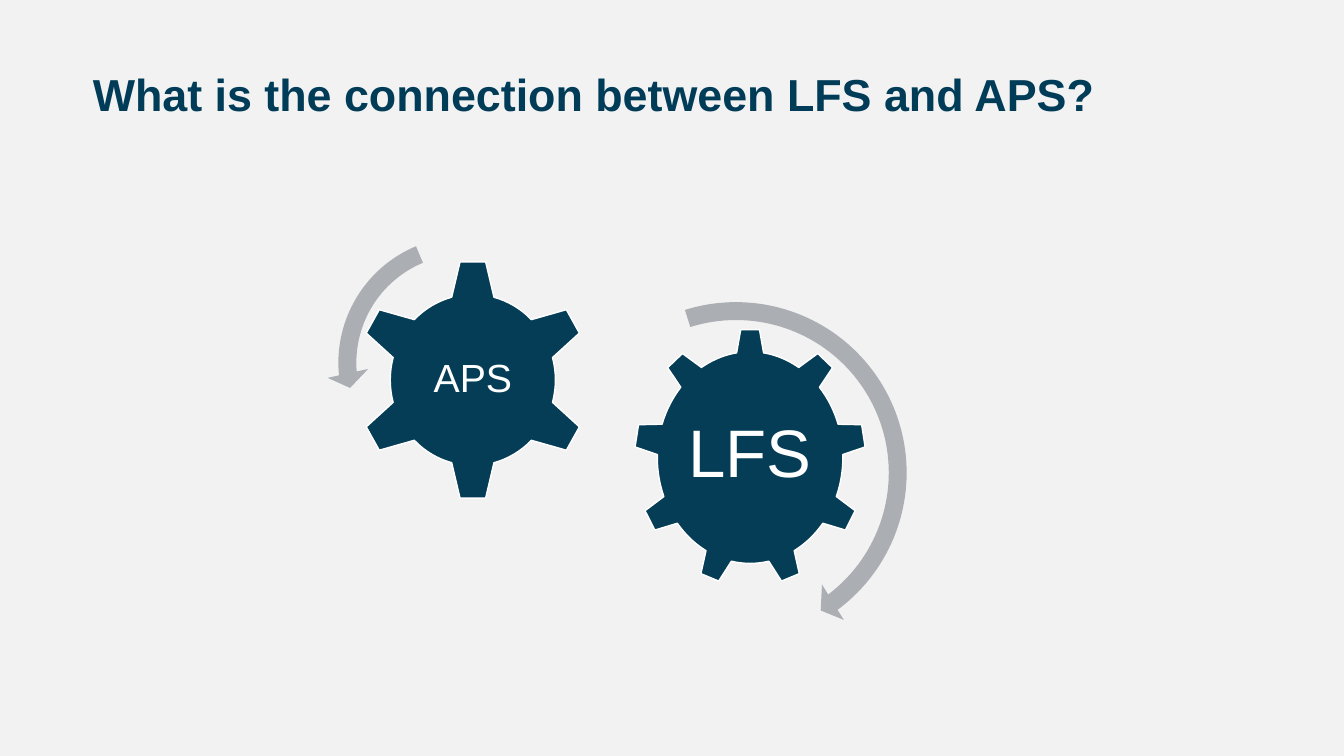
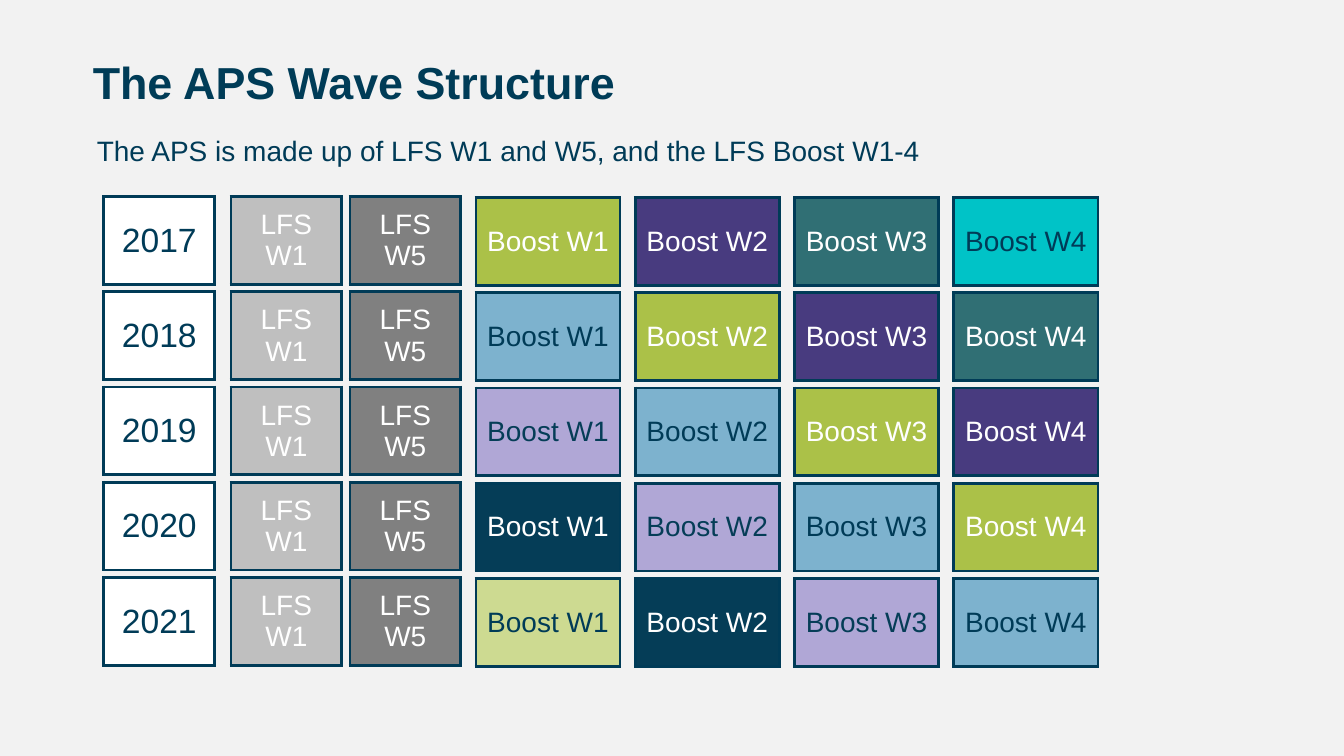
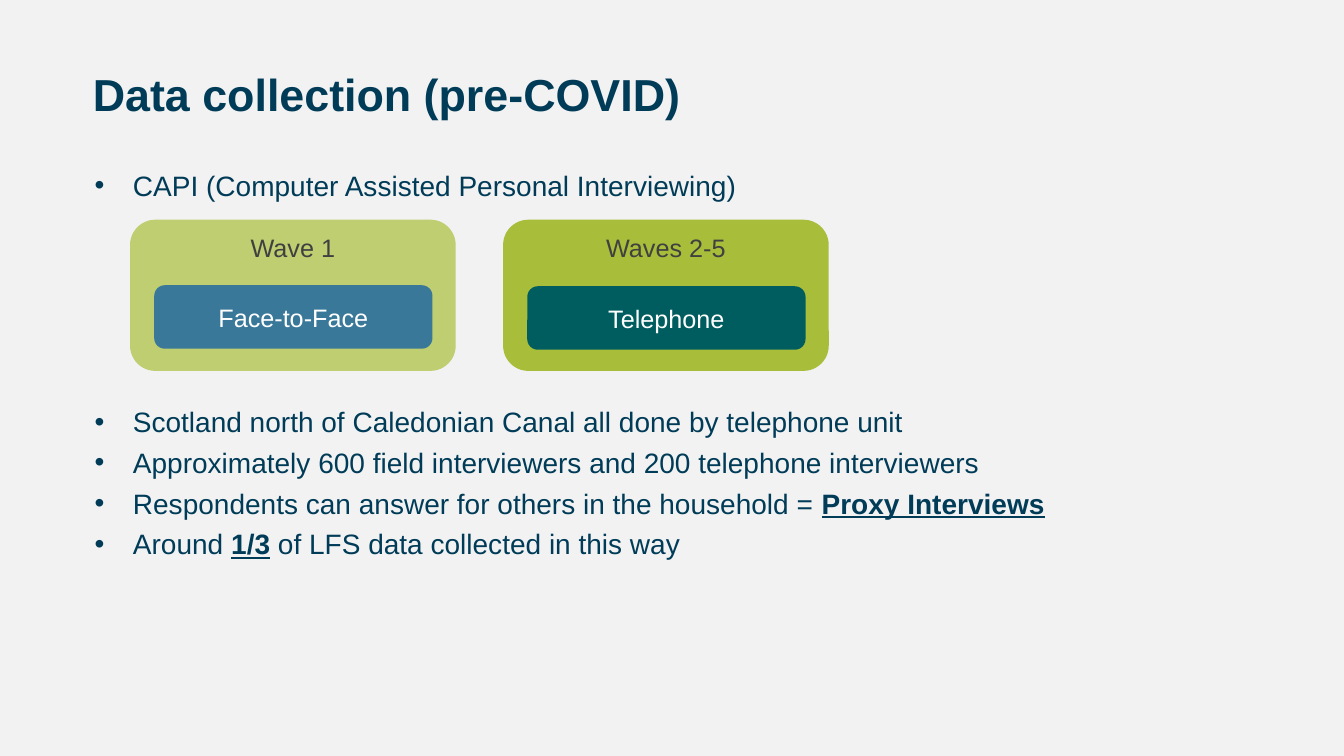
from dataclasses import dataclass

from lxml import etree
from pptx import Presentation
from pptx.dml.color import RGBColor
from pptx.enum.shapes import MSO_SHAPE
from pptx.enum.text import MSO_ANCHOR, MSO_AUTO_SIZE, PP_ALIGN
from pptx.oxml.ns import qn
from pptx.util import Emu, Pt

TOP, MIDDLE, BOTTOM = MSO_ANCHOR.TOP, MSO_ANCHOR.MIDDLE, MSO_ANCHOR.BOTTOM
LEFT, CENTER = PP_ALIGN.LEFT, PP_ALIGN.CENTER
GEAR_6, GEAR_9 = MSO_SHAPE.GEAR_6, MSO_SHAPE.GEAR_9
ARC_RIGHT, ARC_LEFT = MSO_SHAPE.CIRCULAR_ARROW, MSO_SHAPE.LEFT_CIRCULAR_ARROW
CARD, PILL = MSO_SHAPE.ROUNDED_RECTANGLE, MSO_SHAPE.FLOWCHART_ALTERNATE_PROCESS


@dataclass(frozen=True)
class Theme:
    font: str = "Arial"
    background: str = "F2F2F2"
    title: str = "003C57"
    ink: str = "003B57"
    navy: str = "053D57"
    white: str = "FFFFFF"
    grey: str = "ABAFB4"
    charcoal: str = "414041"
    title_size: int = 32
    year_size: int = 24
    body_size: int = 20
    card_size: int = 18
    border: float = 2.25


T = Theme()
PX = 9144  # EMU per px, 100 px to the inch

# ---- Content ----
GEAR_TITLE = "What is the connection between LFS and APS?"
GEARS = [  # shape, box, label, size
    (GEAR_9, (629, 326, 230, 256), "LFS", 48),
    (GEAR_6, (352, 257, 234, 240), "APS", 28),
]
ARCS = [  # shape, box, adjustments
    (ARC_RIGHT, (549, 288, 362, 362), (0.049, 3.126, 31.923, 151.551, 0.057)),
    (ARC_LEFT, (324, 223, 274, 274), (0.065, 4.3, 104.891, 148.378, 0.075)),
]

WAVE_TITLE = "The APS Wave Structure"
WAVE_INTRO = "The APS is made up of LFS W1 and W5, and the LFS Boost W1-4"
YEARS = [2017, 2018, 2019, 2020, 2021]
LFS_COLUMNS = [("LFS W1", 229, "BFBFBF"), ("LFS W5", 347, "808080")]
BOOST_WAVES = 4
COHORTS = [  # fill, text colour; oldest boost sample first
    ("00C3C7", T.ink), ("306F74", T.white), ("483B7F", T.white),
    ("ABC148", T.white), ("7DB2CE", T.ink), ("B0A7D6", T.navy),
    (T.navy, T.white), ("CDDA91", T.ink),
]

COLLECT_TITLE = "Data collection (pre-COVID)"
BULLETS = [  # space before, runs (text, emphasised)
    (0, [("CAPI (Computer Assisted Personal Interviewing)", False)]),
    (145, [("Scotland north of Caledonian Canal all done by telephone unit", False)]),
    (5, [("Approximately 600 field interviewers and 200 telephone interviewers", False)]),
    (5, [("Respondents can answer for others in the household = ", False),
         ("Proxy Interviews", True)]),
    (5, [("Around ", False), ("1/3", True),
         (" of LFS data collected in this way", False)]),
]
CARDS = [  # wave, fill, method, fill, method top
    ("Wave 1", "BECE70", "Face-to-Face", "3A7899", 283),
    ("Waves 2-5", "A8BD3A", "Telephone", "005D5F", 284),
]


# ---- Helpers ----
def px(*values):
    return [Emu(round(v * PX)) for v in values]


def rgb(color):
    return RGBColor.from_string(color)


def style(p, size, color, align=LEFT, bold=False):
    p.alignment = align
    for r in p.runs:
        r.font.name, r.font.size, r.font.bold = T.font, Pt(size), bold
        r.font.color.rgb = rgb(color)


def set_frame(tf, anchor, margins, wrap=True):
    tf.auto_size, tf.word_wrap = MSO_AUTO_SIZE.NONE, wrap
    tf.vertical_anchor = anchor
    tf.margin_left, tf.margin_top, tf.margin_right, tf.margin_bottom = px(*margins)


def add_slide(prs, title, top=70):
    s = prs.slides.add_slide(prs.slide_layouts[5])
    sp = s.shapes.title
    sp.left, sp.top, sp.width, sp.height = px(92, top, 1150, 51)
    tf = sp.text_frame
    tf.text = title
    set_frame(tf, TOP, (0, 0, 0, 0))
    p = tf.paragraphs[0]
    p.line_spacing = 0.95
    style(p, T.title_size, T.title, bold=True)
    return s


def add_box(s, box, anchor, margins):
    tf = s.shapes.add_textbox(*px(*box)).text_frame
    set_frame(tf, anchor, margins)
    return tf


def add_shape(s, kind, box, fill, line=None):
    sp = s.shapes.add_shape(kind, *px(*box))
    sp.shadow.inherit = False
    sp.fill.solid()
    sp.fill.fore_color.rgb = rgb(fill)
    if line:
        sp.line.color.rgb, sp.line.width = rgb(line), Pt(1)
    else:
        sp.line.fill.background()
    return sp


def add_label(sp, text, size, color, anchor=MIDDLE, margins=(10, 5, 10, 5)):
    tf = sp.text_frame
    tf.text = text
    set_frame(tf, anchor, margins, wrap=False)
    style(tf.paragraphs[0], size, color, CENTER)


def set_borders(cell):
    tc_pr = cell._tc.get_or_add_tcPr()
    for side in ("a:lnL", "a:lnR", "a:lnT", "a:lnB"):
        ln = etree.SubElement(tc_pr, qn(side), w=str(Pt(T.border)))
        fill = etree.SubElement(ln, qn("a:solidFill"))
        etree.SubElement(fill, qn("a:srgbClr"), val=T.ink)


def add_tile(s, box, text, fill, color, size=T.body_size):
    cell = s.shapes.add_table(1, 1, *px(*box)).table.cell(0, 0)
    set_borders(cell)
    cell.fill.solid()
    cell.fill.fore_color.rgb = rgb(fill)
    cell.vertical_anchor = MIDDLE
    cell.text = text
    style(cell.text_frame.paragraphs[0], size, color, CENTER)


def set_bullet(p, indent):
    p_pr = p._p.get_or_add_pPr()
    width = px(indent)[0]
    p_pr.set("marL", str(width))
    p_pr.set("indent", str(-width))
    etree.SubElement(p_pr, qn("a:buFont"), typeface=T.font)
    etree.SubElement(p_pr, qn("a:buChar"), char="•")


# ---- Slides ----
def gear_slide(prs):
    s = add_slide(prs, GEAR_TITLE)
    for kind, box, label, size in GEARS:
        sp = add_shape(s, kind, box, T.navy, T.white)
        add_label(sp, label, size, T.white, margins=(0, 0, 0, 0))
        sp.text_frame.paragraphs[0].line_spacing = 0.9
    for kind, box, adjustments in ARCS:
        sp = add_shape(s, kind, box, T.grey)
        for i, value in enumerate(adjustments):
            sp.adjustments[i] = value


def wave_slide(prs):
    s = add_slide(prs, WAVE_TITLE, top=58)
    tf = add_box(s, (96, 127, 1008, 44), BOTTOM, (0, 5, 10, 5))
    tf.text = WAVE_INTRO
    style(tf.paragraphs[0], T.body_size, T.ink)

    first_top, last_top, height = 195, 573, 87
    pitch = (last_top - first_top) / (len(YEARS) - 1)
    for row, year in enumerate(YEARS):
        top = first_top + row * pitch
        add_tile(s, (103, top, 110, height), str(year), T.white, T.ink, T.year_size)
        for label, left, fill in LFS_COLUMNS:
            add_tile(s, (left, top, 110, height), label, fill, T.white)
        # Each boost sample moves one wave to the right every year
        for wave in range(BOOST_WAVES):
            fill, color = COHORTS[row - wave + BOOST_WAVES - 1]
            box = (472 + 158 * wave, top + 1, 143, height)
            add_tile(s, box, f"Boost W{wave + 1}", fill, color)


def collection_slide(prs):
    s = add_slide(prs, COLLECT_TITLE)
    tf = add_box(s, (84, 162, 1120, 500), TOP, (10, 5, 10, 5))
    for i, (space, runs) in enumerate(BULLETS):
        p = tf.paragraphs[0] if i == 0 else tf.add_paragraph()
        p.space_before = Pt(space)
        set_bullet(p, 38)
        for text, _ in runs:
            p.add_run().text = text
        style(p, T.body_size, T.ink)
        for r, (_, emphasised) in zip(p.runs, runs):
            r.font.bold = r.font.underline = emphasised

    # Wave cards, each holding its interview method
    for i, (wave, fill, method, method_fill, method_top) in enumerate(CARDS):
        left = 129 + 370 * i
        card = add_shape(s, CARD, (left, 218, 323, 150), fill)
        add_label(card, wave, T.card_size, T.charcoal, TOP)
        pill = add_shape(s, PILL, (left + 24, method_top, 276, 63), method_fill)
        add_label(pill, method, T.card_size, T.white)


def main():
    prs = Presentation()
    prs.slide_width, prs.slide_height = px(1333, 750)
    background = prs.slide_master.background.fill
    background.solid()
    background.fore_color.rgb = rgb(T.background)
    gear_slide(prs)
    wave_slide(prs)
    collection_slide(prs)
    prs.save("out.pptx")


if __name__ == "__main__":
    main()
